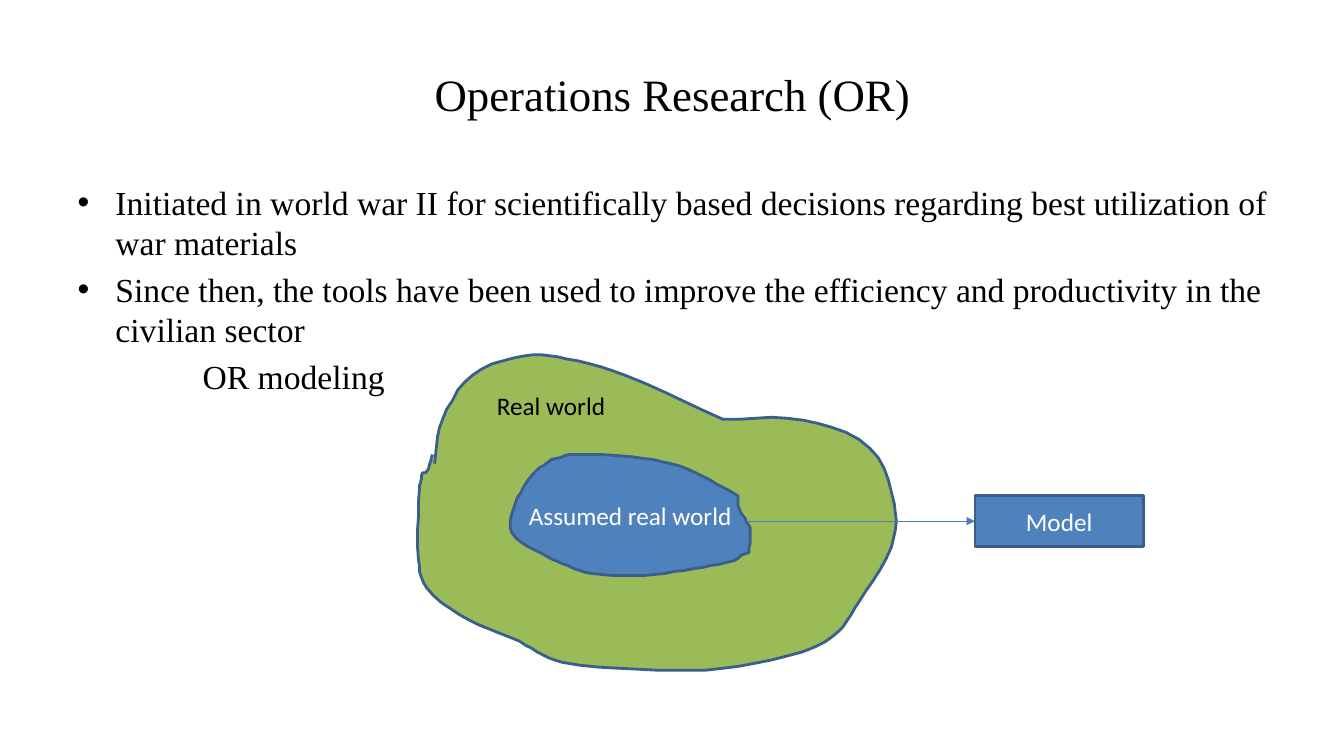
from pptx import Presentation
from pptx.dml.color import RGBColor
from pptx.enum.shapes import MSO_CONNECTOR, MSO_SHAPE
from pptx.enum.text import MSO_ANCHOR, PP_ALIGN
from pptx.oxml.ns import qn
from pptx.util import Inches, Pt
from lxml.etree import SubElement

HUES = {"black": "000000", "white": "FFFFFF", "green": "9BBB59",
        "blue": "4F81BD", "edge": "3A5F8C", "arrow": "4B7EBC"}
SERIF, SANS = "Times New Roman", "Calibri"
STEPS = 5  # straight pieces between two knots

# Each blob is a chain of smooth sides that meet at corners.
# Knots are in inches; a side starts where the one before it ends.
WORLD = {
    "start": [(4.31, 4.6)],
    "hump": [(4.39, 4.16), (4.69, 3.72), (5.21, 3.53), (5.61, 3.56),
             (6.19, 3.72), (7.17, 4.16)],
    "right": [(7.97, 4.17), (8.63, 4.45), (8.87, 5), (8.84, 5.43),
              (8.52, 5.97)],
    "base": [(8.31, 6.27), (7.95, 6.47), (7.17, 6.63), (6.73, 6.65),
             (5.75, 6.6), (5.45, 6.53), (5.15, 6.36)],
    "left": [(4.65, 6.15), (4.23, 5.83), (4.15, 5.55), (4.16, 4.85),
             (4.19, 4.69)],
    "notch": [(4.23, 4.68), (4.29, 4.51)],
}
CORE = {
    "start": [(7.32, 4.92)],
    "notch": [(7.33, 5.04), (7.4, 5.17), (7.44, 5.25), (7.43, 5.48)],
    "base": [(7.35, 5.51), (7.29, 5.56), (6.89, 5.64), (6.39, 5.71),
             (5.87, 5.69), (5.57, 5.59)],
    "left": [(5.35, 5.48), (5.08, 5.29), (5.11, 5), (5.28, 4.71),
             (5.47, 4.56)],
    "top": [(5.69, 4.51), (6.39, 4.55), (6.81, 4.65), (7.32, 4.92)],
}


def write(shape, text, size, font, hue, align=None):
    frame = shape.text_frame
    frame.text = text
    for para in frame.paragraphs:
        para.alignment = align
        for run in para.runs:
            run.font.size = Pt(size)
            run.font.name = font
            run.font.color.rgb = RGBColor.from_string(HUES[hue])


def paint(shape, fill):
    shape.shadow.inherit = False
    shape.fill.solid()
    shape.fill.fore_color.rgb = RGBColor.from_string(HUES[fill])
    shape.line.color.rgb = RGBColor.from_string(HUES["edge"])
    shape.line.width = Pt(2)
    shape.text_frame.vertical_anchor = MSO_ANCHOR.MIDDLE


deck = Presentation()
deck.slide_width, deck.slide_height = Inches(13.33), Inches(7.5)
slide = deck.slides.add_slide(deck.slide_layouts[1])
shapes = slide.shapes

# Title and list
title, body = slide.placeholders
for holder, top, height in ((title, 0.3, 1.25), (body, 1.75, 4.95)):
    holder.left, holder.top = Inches(0.67), Inches(top)
    holder.width, holder.height = Inches(12), Inches(height)
write(title, "Operations Research (OR)", 32, SERIF, "black", PP_ALIGN.CENTER)
title.text_frame.vertical_anchor = MSO_ANCHOR.MIDDLE
write(body, "\n".join([
    "Initiated in world war II for scientifically based decisions "
    "regarding best utilization of war materials",
    "Since then, the tools have been used to improve the efficiency "
    "and productivity in the civilian sector",
    "OR modeling"]), 24, SERIF, "black")

# Last line is indented and has no bullet
props = body.text_frame.paragraphs[-1]._p.get_or_add_pPr()
props.set("marL", str(Inches(1.24)))
props.set("indent", "0")
SubElement(props, qn("a:buNone"))

# Real world and the assumed part within it
for sides, fill, closed in ((WORLD, "green", False), (CORE, "blue", True)):
    # Knots become complex numbers: x + y * 1j
    track = [complex(*sides["start"][0])]
    for name, side in sides.items():
        if name == "start":
            continue
        knots = [track[-1]] + [complex(*knot) for knot in side]

        # At each knot the curve runs parallel to the line past its neighbours
        padded = [knots[0]] + knots + [knots[-1]]
        slopes = [(after - before) / abs(after - before)
                  for before, after in zip(padded, padded[2:])]

        # Bezier piece between each two knots, with handles a third as long
        for i in range(len(knots) - 1):
            a, d = knots[i], knots[i + 1]
            reach = abs(d - a) / 3
            b, c = a + reach * slopes[i], d - reach * slopes[i + 1]
            for step in range(1, STEPS + 1):
                t = step / STEPS
                u = 1 - t
                track.append(u**3 * a + 3 * u**2 * t * b
                             + 3 * u * t**2 * c + t**3 * d)

    points = [(dot.real * 100, dot.imag * 100) for dot in track]
    pen = shapes.build_freeform(*points[0], scale=Inches(0.01))
    pen.add_line_segments(points[1:], close=closed)
    blob = pen.convert_to_shape()
    paint(blob, fill)
    if fill == "blue":
        write(blob, "Assumed real world", 18, SANS, "white", PP_ALIGN.CENTER)

# Arrow to the model
arrow = shapes.add_connector(MSO_CONNECTOR.STRAIGHT, Inches(7.4), Inches(5.17),
                             Inches(9.67), Inches(5.17))
arrow.line.color.rgb = RGBColor.from_string(HUES["arrow"])
arrow.line.width = Pt(0.75)
SubElement(arrow.line._get_or_add_ln(), qn("a:tailEnd"), type="triangle")
SubElement(arrow._element.spPr, qn("a:effectLst"))

# Model box
model = shapes.add_shape(MSO_SHAPE.RECTANGLE, Inches(9.67), Inches(4.92),
                         Inches(1.67), Inches(0.5))
paint(model, "blue")
write(model, "Model", 18, SANS, "white", PP_ALIGN.CENTER)

# Label of the outer area
label = shapes.add_textbox(Inches(4.83), Inches(3.82), Inches(1.29), Inches(0.4))
label.text_frame.word_wrap = False
write(label, "Real world", 18, SANS, "black")

deck.save("out.pptx")
